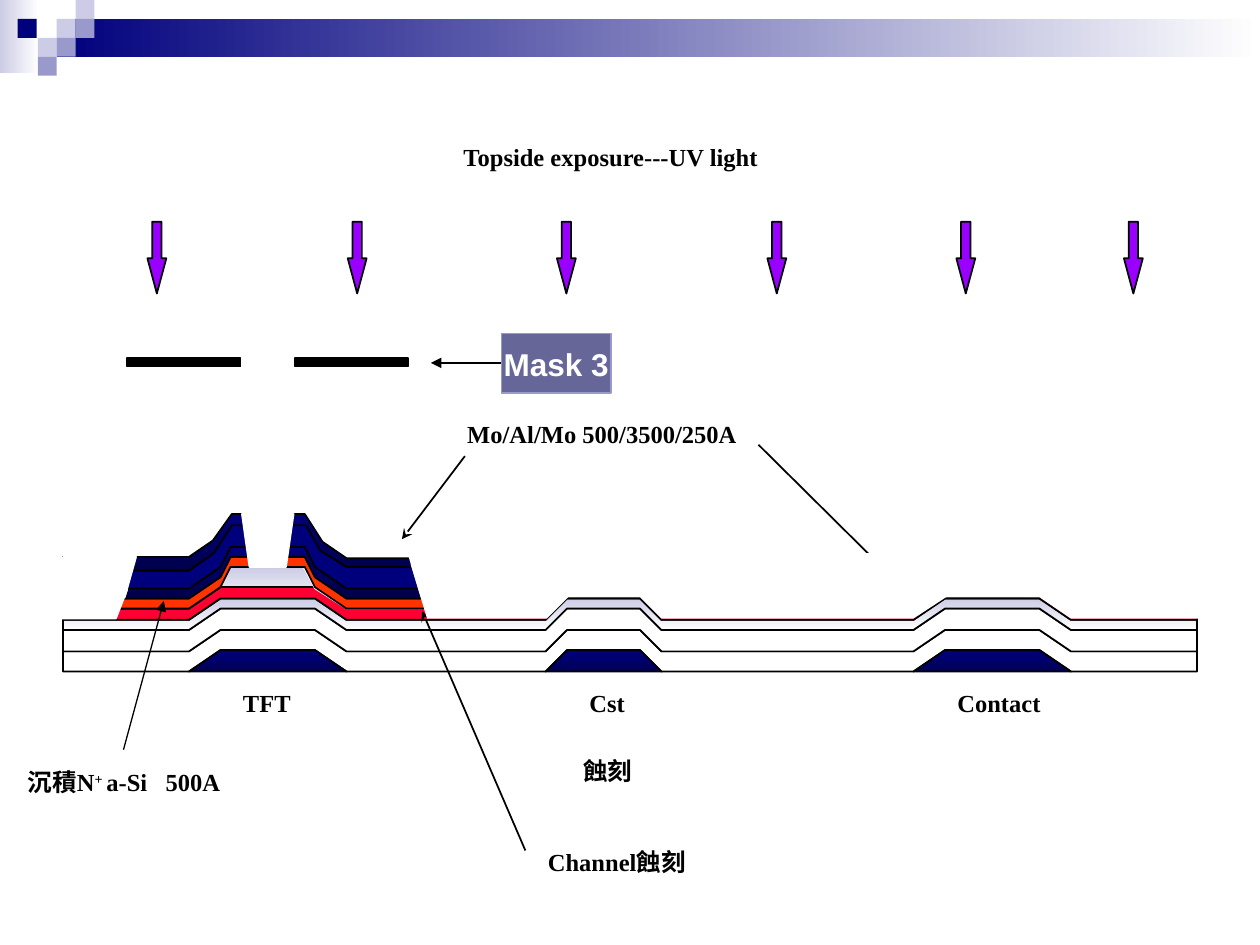
from lxml import etree
from pptx import Presentation
from pptx.dml.color import RGBColor
from pptx.enum.shapes import MSO_CONNECTOR, MSO_SHAPE
from pptx.enum.text import MSO_ANCHOR, MSO_AUTO_SIZE, PP_ALIGN
from pptx.oxml.ns import qn
from pptx.util import Emu, Pt

PX = 9144  # 100 px to the inch


class Theme:
    navy, navy_mid, navy_dark = "00007D", "000056", "00004A"
    lavender, lilac, pale = "CCCCE6", "9999CC", "FEFEFE"
    white, black = "FFFFFF", "000000"
    red, orange, violet, slate = "FF0033", "FF3300", "9900FF", "666699"
    serif, sans = "Times New Roman", "Arial"
    label_size, mask_size = 14, 18
    thin, outline = 0.75, 1


# Content: fills are one colour, or (start, end, angle) for a gradient
BANNER = [
    ((0, 0, 31, 58), (Theme.lavender, Theme.white, 0)),
    ((45, 15, 955, 30), (Theme.navy, Theme.white, 0)),
    ((45, 15, 15, 15), Theme.lavender), ((60, 0, 15, 15), Theme.lavender),
    ((60, 15, 15, 15), Theme.lilac), ((30, 30, 15, 15), Theme.lavender),
    ((14, 15, 15, 15), Theme.navy), ((45, 30, 15, 15), Theme.lilac),
    ((30, 45, 15, 15), Theme.lilac),
]
LEFT, RIGHT, BASE, STEP = 50, 950, 533, 17
TFT, CST, CONTACT = (150, 175, 250, 275), (433, 450, 508, 525), (725, 750, 825, 850)
METAL_TOP = [(150, 442), (169, 429), (184, 408), (242, 408), (256, 430), (275, 443)]
METAL_MID = [(150, 453), (170, 439), (184, 417), (243, 417), (254, 437), (275, 450)]
GLASSY = (Theme.lavender, Theme.pale, 270)
METAL = (Theme.navy, Theme.navy_dark, 270)
GATE = (Theme.navy, Theme.navy_mid, 270)

# Etched-away areas
LEFT_OF_CHANNEL = [(50, 465), (150, 465), (175, 448), (183, 448), (175, 465),
                   (150, 481), (50, 481)]
RIGHT_OF_CHANNEL = [
    (241, 450), (250, 467), (275, 483), (433, 483), (450, 467), (508, 467),
    (525, 483), (725, 483), (750, 467), (825, 467), (850, 483), (950, 483),
    (950, 467), (850, 467), (825, 450), (750, 450), (725, 467), (525, 467),
    (508, 450), (450, 450), (433, 467), (275, 467), (250, 450)]
METAL_LEFT = [(99, 474), (108, 442), (50, 442), (50, 474)]
METAL_RIGHT = [
    (334, 474), (435, 474), (452, 457), (507, 457), (526, 474), (724, 474),
    (751, 457), (824, 457), (850, 474), (952, 474), (952, 440), (853, 440),
    (825, 423), (750, 423), (718, 439), (528, 439), (510, 414), (451, 414),
    (434, 431), (321, 431)]
SILICON_LEFT = [(92, 491), (101, 468), (48, 468), (48, 491)]
SILICON_RIGHT = [
    (339, 491), (434, 491), (451, 474), (508, 474), (525, 491), (725, 491),
    (751, 474), (825, 474), (850, 491), (952, 491), (951, 457), (859, 457),
    (831, 440), (755, 440), (724, 456), (533, 456), (515, 431), (456, 431),
    (439, 448), (326, 448)]

LABELS = [
    ("TFT", (183, 541, 58, 33)), ("Cst", (458, 541, 50, 33)),
    ("Contact", (750, 541, 92, 33)),
    ("Mo/Al/Mo 500/3500/250A", (361, 328, 241, 33)),
    ("Topside exposure---UV light", (358, 108, 258, 33)),
    ("蝕刻", (453, 595, 100, 33)), ("Channel蝕刻", (425, 667, 133, 57)),
]
DEPOSIT = [("沉積", Theme.sans, 0), ("N", Theme.serif, 0),
           ("+ ", Theme.serif, 30000), ("a-Si   500A", Theme.serif, 0)]
UV_ARROWS = [117, 276, 442, 609, 759, 892]
MASK_BARS = [101, 234]

presentation = Presentation()
presentation.slide_width, presentation.slide_height = Emu(1000 * PX), Emu(750 * PX)
slide = presentation.slides.add_slide(presentation.slide_layouts[6])
shapes = slide.shapes


def scaled(*lengths):
    return [Emu(length * PX) for length in lengths]


def paint(shape, fill, line=None, width=Theme.outline):
    shape.shadow.inherit = False
    if isinstance(fill, tuple):
        shape.fill.gradient()
        shape.fill.gradient_angle = fill[2]
        for stop, color in zip(shape.fill.gradient_stops, fill):
            stop.color.rgb = RGBColor.from_string(color)
    else:
        shape.fill.solid()
        shape.fill.fore_color.rgb = RGBColor.from_string(fill)
    if line:
        shape.line.color.rgb = RGBColor.from_string(line)
        shape.line.width = Pt(width)
    else:
        shape.line.fill.background()
    return shape


def preset(kind, box, fill, line=None, width=Theme.outline):
    return paint(shapes.add_shape(kind, *scaled(*box)), fill, line, width)


def outline(points, fill, line=None):
    builder = shapes.build_freeform(*points[0], scale=PX)
    builder.add_line_segments(points[1:], close=True)
    return paint(builder.convert_to_shape(), fill, line)


def connect(start, end, head=None, width=Theme.outline):
    connector = shapes.add_connector(MSO_CONNECTOR.STRAIGHT, *scaled(*start, *end))
    connector.line.color.rgb = RGBColor.from_string(Theme.black)
    connector.line.width = Pt(width)
    if head:
        etree.SubElement(connector.line._get_or_add_ln(), qn("a:tailEnd"), type=head)
    etree.SubElement(connector._element.spPr, qn("a:effectLst"))


def add_run(paragraph, text, font, size, color, baseline=0):
    run = paragraph.add_run()
    run.text = text
    run.font.name, run.font.size, run.font.bold = font, Pt(size), True
    run.font.color.rgb = RGBColor.from_string(color)
    if baseline:
        run.font._element.set("baseline", str(baseline))


def text_box(box, wrap=True):
    frame = shapes.add_textbox(*scaled(*box)).text_frame
    frame.word_wrap, frame.auto_size = wrap, MSO_AUTO_SIZE.SHAPE_TO_FIT_TEXT
    return frame.paragraphs[0]


def bump(span, flat):
    return list(zip(span, (flat, flat - STEP, flat - STEP, flat)))


def surface(flat, tft=None):
    """Top of a film from the left edge to the right, over all three bumps."""
    tft = tft or bump(TFT, flat)
    right = tft[-1][1]
    return [(LEFT, tft[0][1]), *tft, *bump(CST, right), *bump(CONTACT, right),
            (RIGHT, right)]


def stepped(flat):
    high = flat - 2 * STEP + 1
    base = bump(TFT, flat)
    return surface(flat, base[:2] + [(183, high), (242, high)] + base[2:])


def film(upper, lower, fill):
    outline(upper + lower[::-1], fill, Theme.black)


# Banner
for box, fill in BANNER:
    preset(MSO_SHAPE.RECTANGLE, box, fill)

# Films on the glass, then the gate metal
film(surface(442, METAL_TOP), surface(450, METAL_MID), METAL)
for upper, lower, fill in [(517, 533, Theme.white), (500, 517, Theme.white),
                           (492, 500, GLASSY), (483, 492, Theme.red),
                           (467, 483, GLASSY)]:
    film(surface(upper), surface(lower), fill)
connect((LEFT, BASE), (RIGHT, BASE))
for span in (TFT, CST, CONTACT):
    outline(bump(span, BASE), GATE, Theme.black)

# Etched channel island, N+ film and source/drain metal
outline(LEFT_OF_CHANNEL, Theme.white, Theme.white)
outline(RIGHT_OF_CHANNEL, Theme.white, Theme.white)
film(stepped(475), stepped(483), Theme.orange)
film(stepped(467), stepped(475), METAL)
film(surface(450, METAL_MID), stepped(467), Theme.navy)

# Pointers partly hidden by the etched areas
connect((369, 362), (319, 428), "stealth")
connect((602, 353), (719, 469), "stealth")

# Etching of metal and silicon
outline(METAL_LEFT, Theme.white, Theme.white)
outline(METAL_RIGHT, Theme.white)
connect((417, 675), (335, 485), "stealth")
outline([(192, 408), (198, 450), (227, 450), (233, 408)], Theme.white, Theme.white)
outline(SILICON_LEFT, Theme.white, Theme.white)
outline(SILICON_RIGHT, Theme.white)

# Mask and UV light
for left in MASK_BARS:
    preset(MSO_SHAPE.RECTANGLE, (left, 284, 90, 7), Theme.black, Theme.black)
for left in UV_ARROWS:
    arrow = preset(MSO_SHAPE.DOWN_ARROW, (left, 176, 15, 57), Theme.violet, Theme.black)
    arrow.adjustments[0], arrow.adjustments[1] = 0.5, 1.86

# Labels
for text, box in LABELS:
    paragraph = text_box(box)
    paragraph.space_before = Pt(8.8)
    add_run(paragraph, text, Theme.serif, Theme.label_size, Theme.black)
connect((98, 595), (130, 477), "triangle", Theme.thin)
paragraph = text_box((10, 604, 177, 34), wrap=False)
paragraph.alignment = PP_ALIGN.CENTER
for text, font, baseline in DEPOSIT:
    add_run(paragraph, text, font, Theme.label_size, Theme.black, baseline)

# Mask tag
connect((406, 288), (342, 288), "triangle", Theme.thin)
tag = preset(MSO_SHAPE.RECTANGLE, (398, 265, 87, 47), Theme.slate, Theme.lilac, Theme.thin)
tag.text_frame.word_wrap = False
tag.text_frame.vertical_anchor = MSO_ANCHOR.MIDDLE
paragraph = tag.text_frame.paragraphs[0]
paragraph.alignment = PP_ALIGN.CENTER
add_run(paragraph, "Mask 3", Theme.sans, Theme.mask_size, Theme.white)

presentation.save("out.pptx")
